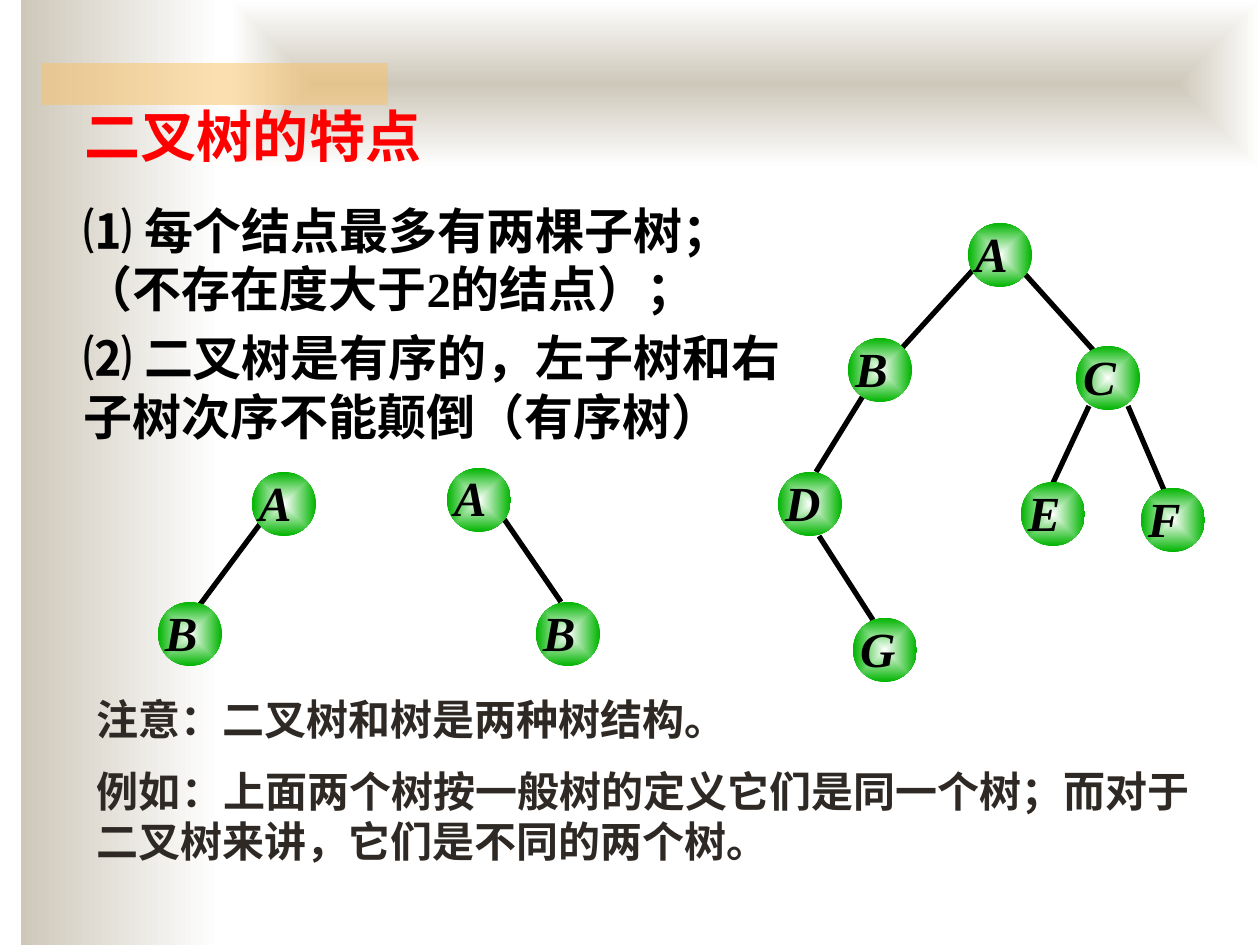
from dataclasses import dataclass
from lxml import etree
from pptx import Presentation
from pptx import util as u
from pptx.dml.color import RGBColor as Rgb
from pptx.enum import shapes as sh, text as tx
from pptx.oxml.ns import qn

PX = 914400 / 126  # EMU in one px


def emu(*nums):
    return [u.Emu(round(n * PX)) for n in nums]


@dataclass
class Theme:
    face: str = "Times New Roman"
    sand: str = "CEC8BA"
    white: str = "FFFFFF"
    gold: str = "FAC164"
    green: str = "00B400"
    red: str = "FF0000"
    black: str = "000000"
    brown: str = "2E2924"
    head: int = 32
    main: int = 28
    note: int = 24
    rule: int = 3
    node: int = 64


class Deck:
    def __init__(self, theme):
        self.theme = theme
        self.prs = Presentation()
        self.prs.slide_width, self.prs.slide_height = emu(1260, 945)
        self.slide = self.prs.slides.add_slide(self.prs.slide_layouts[1])

    def shape(self, host, kind, box):
        item = host.add_shape(kind, *emu(*box))
        item.shadow.inherit = False
        item.line.fill.background()
        return item

    def blend(self, item, first, last, inner=False):
        item.fill.gradient()
        item.fill.gradient_angle = 0
        for stop, hue in zip(item.fill.gradient_stops, (first, last)):
            stop.color.rgb = Rgb.from_string(hue)
        if inner:
            grad = item._element.spPr.find(qn("a:gradFill"))
            grad.remove(grad.find(qn("a:lin")))
            way = etree.SubElement(grad, qn("a:path"), {"path": "shape"})
            etree.SubElement(way, qn("a:fillToRect"),
                             dict.fromkeys("ltrb", "50000"))

    def tint(self, item, hue, alpha):
        item.fill.solid()
        item.fill.fore_color.rgb = Rgb.from_string(hue)
        color = item._element.spPr.find(".//" + qn("a:srgbClr"))
        etree.SubElement(color, qn("a:alpha"), val=str(alpha * 1000))

    def label(self, item, box, lines, size, hue, pad=(13, 6, 13, 6),
              gap=0, align=tx.PP_ALIGN.LEFT, slant=False):
        item.left, item.top, item.width, item.height = emu(*box)
        frame = item.text_frame
        frame.word_wrap = True
        frame.auto_size = tx.MSO_AUTO_SIZE.NONE
        frame.vertical_anchor = tx.MSO_ANCHOR.TOP
        (frame.margin_left, frame.margin_top,
         frame.margin_right, frame.margin_bottom) = emu(*pad)
        frame.text = "\n".join(lines)
        for i, para in enumerate(frame.paragraphs):
            props = para._p.get_or_add_pPr()
            props.set("marL", "0")
            props.set("indent", "0")
            para.space_before = u.Pt(gap if i else 0)
            etree.SubElement(props, qn("a:buNone"))
            para.alignment = align
            font = para.font
            font.name, font.size = self.theme.face, u.Pt(size)
            font.bold, font.italic = True, slant
            font.color.rgb = Rgb.from_string(hue)

    def front(self, item):
        self.slide.shapes._spTree.append(item._element)

    def edge(self, host, ends):
        link = host.add_connector(sh.MSO_CONNECTOR.STRAIGHT, *emu(*ends))
        link.line.width = u.Pt(self.theme.rule)
        link.line.color.rgb = Rgb.from_string(self.theme.black)
        etree.SubElement(link._element.spPr, qn("a:effectLst"))

    def node(self, host, name, x, y):
        t = self.theme
        ball = self.shape(host, sh.MSO_SHAPE.OVAL, (x, y, t.node, t.node))
        self.blend(ball, t.white, t.green, inner=True)
        box = (x + 7, y - 5, 54, 84)
        self.label(host.add_textbox(*emu(*box)), box, [name], t.main,
                   t.black, pad=(0, 5, 0, 0), slant=True)

    def tree(self, edges, nodes):
        host = self.slide.shapes.add_group_shape().shapes
        for ends in edges:
            self.edge(host, ends)
        for spot in nodes:
            self.node(host, *spot)


def main():
    t = Theme()
    deck = Deck(t)
    root = deck.slide.shapes
    rect = sh.MSO_SHAPE.RECTANGLE

    # Background bands
    side = deck.shape(root, rect, (21, 0, 199, 945))
    deck.blend(side, t.sand, t.white)
    band = deck.shape(root, rect, (231, 0, 1029, 168))
    deck.blend(band, t.sand, t.white, inner=True)
    strip = deck.shape(root, rect, (42, 63, 346, 42))
    deck.tint(strip, t.gold, 50)

    # Title and list, placed in front of the bands
    title, body = root.title, deck.slide.placeholders[1]
    deck.front(title)
    deck.front(body)
    deck.label(title, (72, 96, 494, 79), ["二叉树的特点"], t.head, t.red)
    deck.label(body, (84, 194, 701, 262), [
        "⑴ 每个结点最多有两棵子树；（不存在度大于2的结点）；",
        "⑵ 二叉树是有序的，左子树和右子树次序不能颠倒（有序树）",
    ], t.main, t.black, pad=(0, 6, 0, 6), gap=5.6)

    # Closing note
    box = (84, 688, 1119, 190)
    deck.label(root.add_textbox(*emu(*box)), box, [
        "注意：二叉树和树是两种树结构。",
        "例如：上面两个树按一般树的定义它们是同一个树；而对于二叉树来讲，它们是不同的两个树。",
    ], t.note, t.brown, gap=12, align=tx.PP_ALIGN.JUSTIFY)

    # Large tree
    deck.tree(
        [(973, 270, 902, 348), (1024, 273, 1095, 352),
         (863, 396, 816, 472), (819, 536, 873, 620),
         (1089, 406, 1053, 483), (1128, 406, 1164, 490)],
        [("A", 968, 223), ("B", 848, 338), ("C", 1076, 346),
         ("D", 778, 472), ("E", 1021, 482), ("F", 1141, 488),
         ("G", 853, 618)])

    # Two small trees: left child, right child
    deck.tree([(260, 524, 199, 606)], [("A", 252, 472), ("B", 158, 602)])
    deck.tree([(504, 519, 561, 602)], [("A", 447, 468), ("B", 536, 602)])

    deck.prs.save("out.pptx")


if __name__ == "__main__":
    main()
